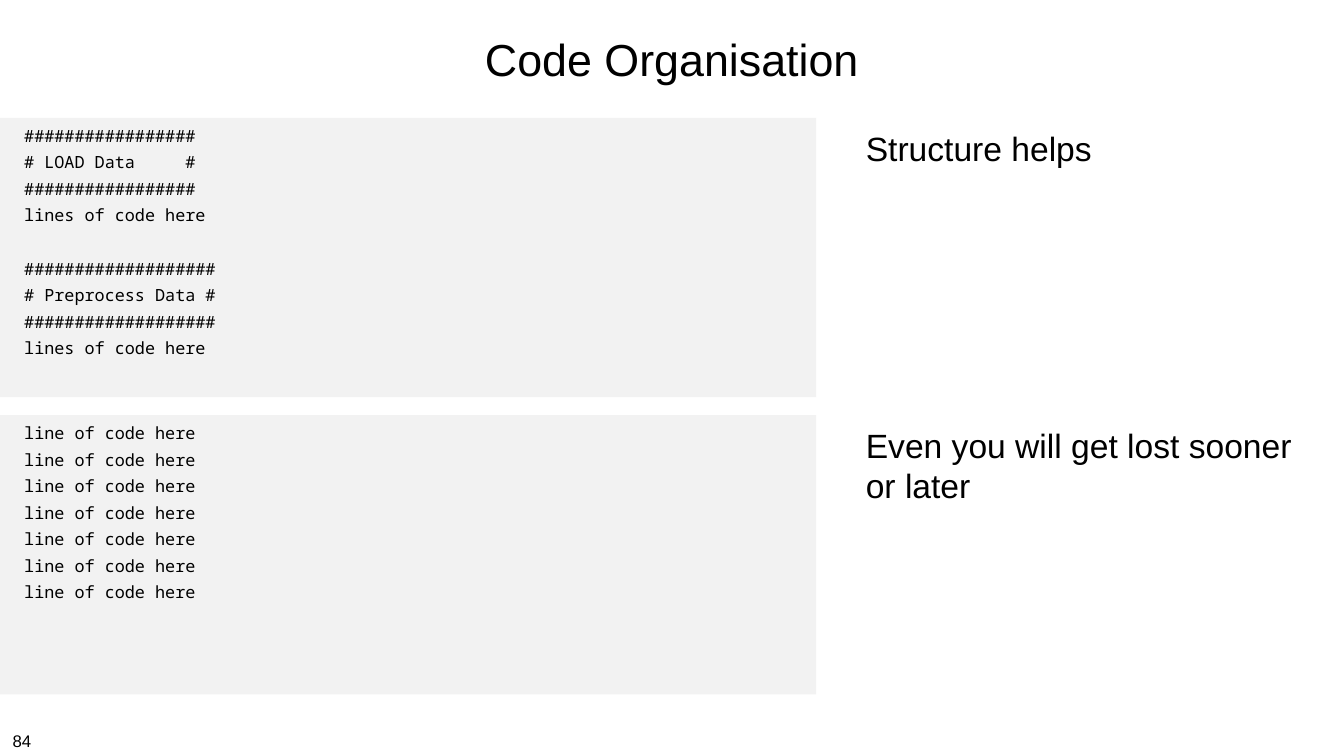
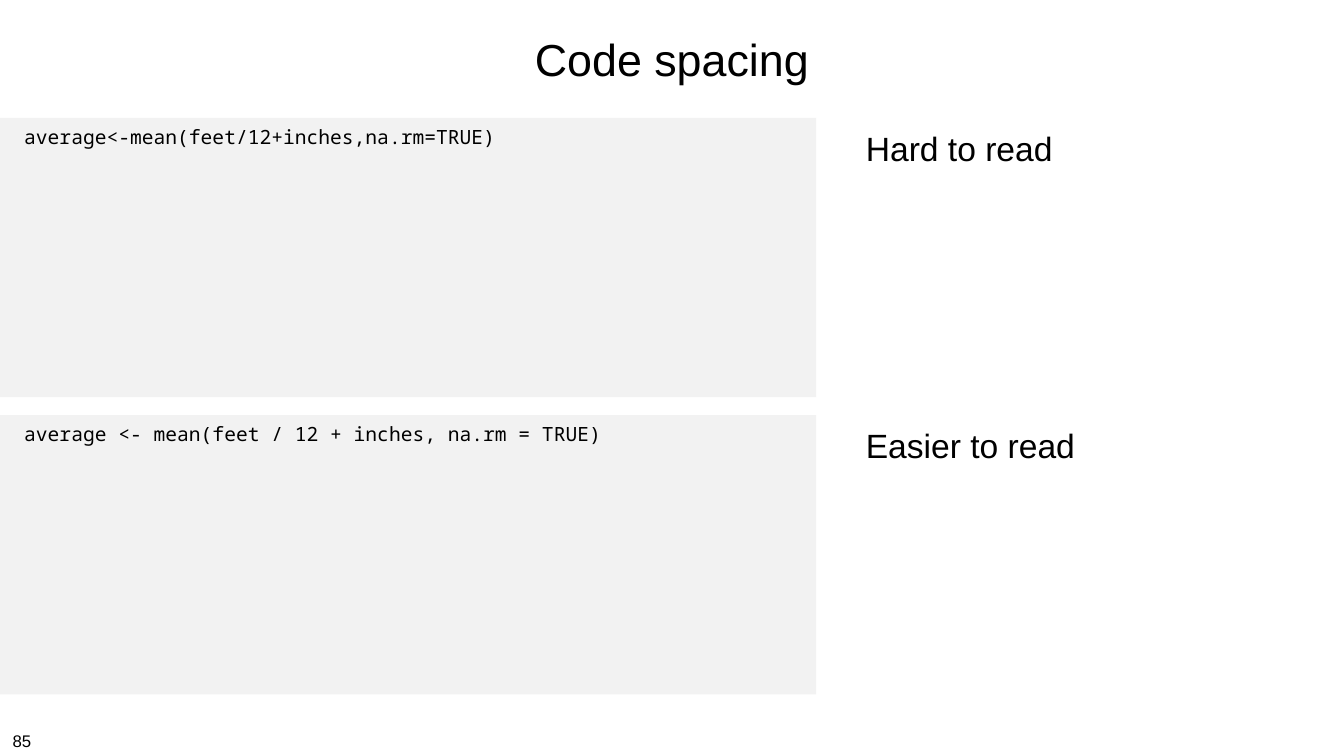
from dataclasses import dataclass
from lxml.etree import SubElement as Sub
from pptx import Presentation as Deck
from pptx.dml.color import RGBColor as Rgb
from pptx.enum.text import MSO_ANCHOR as Anchor, MSO_AUTO_SIZE as Fit, PP_ALIGN as Align
from pptx.oxml.ns import qn
from pptx.util import Cm, Pt


@dataclass(frozen=True)
class Theme:
    """Colours, fonts and type sizes of the deck."""
    ink: Rgb = Rgb(0, 0, 0)
    panel: Rgb = Rgb(0xF2, 0xF2, 0xF2)
    sans: str = "Arial"
    mono: str = "Noto Sans Mono"
    head: int = 32
    note: int = 24
    foot: int = 12


LOOK = Theme()
WIDE, HIGH = Cm(33.87), Cm(19.05)
TOP, ROW, GAP = Cm(2.97), Cm(7.04), Cm(0.45)
FIRST = 84

BANNER = "#" * 17
LONG = "#" * 19
BODY = "lines of code here"
TIDY = [BANNER, "# LOAD Data     #", BANNER, BODY, "",
        LONG, "# Preprocess Data #", LONG, BODY]
PAGES = [
    ("Code Organisation", 12, [
        (TIDY, "Structure helps"),
        (["line of code here"] * 7, "Even you will get lost sooner or later")]),
    ("Code spacing", 14, [
        (["average<-mean(feet/12+inches,na.rm=TRUE)"], "Hard to read"),
        (["average <- mean(feet / 12 + inches, na.rm = TRUE)"], "Easier to read")]),
]


def apply(item, form):
    """Set every attribute named in a dict of format values."""
    for name, value in form.items():
        setattr(item, name, value)


def place(shape, box, anchor=Anchor.TOP):
    """Move a shape to its box and give its frame the shared insets."""
    apply(shape, dict(zip(("left", "top", "width", "height"), box)))
    inset = Cm(0.25)
    apply(shape.text_frame, dict(
        margin_left=inset, margin_right=inset, margin_top=inset, margin_bottom=inset,
        word_wrap=True, auto_size=Fit.NONE, vertical_anchor=anchor))


def style(para, face, size, align=Align.LEFT):
    """Give a paragraph its alignment and type."""
    para.alignment = align
    apply(para.font, dict(name=face, size=Pt(size), bold=False))
    para.font.color.rgb = LOOK.ink


def fill(shape, lines, face, size, gap=0, line=1.0):
    """Write indented lines without bullets."""
    frame = shape.text_frame
    for n, text in enumerate(lines):
        para = frame.add_paragraph() if n else frame.paragraphs[0]
        para.text = text
        apply(para, dict(line_spacing=line, space_before=Pt(gap if n else 0)))
        props = para._p.get_or_add_pPr()
        props.set("marL", str(Cm(0.36)))
        props.set("indent", "0")
        Sub(props, qn("a:buNone"))
        style(para, face, size)


def title(shape, text):
    """Set the centred slide title."""
    place(shape, (Cm(2.54), Cm(0.2), WIDE - 2 * Cm(2.54), Cm(2.54)), Anchor.MIDDLE)
    shape.text_frame.text = text
    style(shape.text_frame.paragraphs[0], LOOK.sans, LOOK.head, Align.CENTER)


def pair(code, note, top, size, lines, text):
    """Set a grey code panel with its remark on the right."""
    place(code, (0, top, Cm(20.57), ROW))
    code.fill.solid()
    code.fill.fore_color.rgb = LOOK.panel
    fill(code, lines, LOOK.mono, size, 6, 0.9)
    place(note, (Cm(21.21), top, Cm(12.37), ROW))
    fill(note, [text], LOOK.sans, LOOK.note)


def footer(slide, num):
    """Add the slide number field at the bottom left."""
    box = slide.shapes.add_textbox(0, HIGH - Cm(0.76), Cm(1.04), Cm(0.76))
    para = box.text_frame.paragraphs[0]
    style(para, LOOK.sans, LOOK.foot, Align.RIGHT)
    run = para.add_run()
    run.text = str(num)
    apply(run.font, dict(name=LOOK.sans, size=Pt(LOOK.foot)))
    run.font.color.rgb = LOOK.ink
    field = run._r
    field.tag = qn("a:fld")
    field.set("id", "{B6F15528-21DE-4FAA-801E-634DDDAF4B2B}")
    field.set("type", "slidenum")


def page(deck, num, text, size, rows):
    """Build one slide of stacked code and remark rows."""
    slide = deck.slides.add_slide(deck.slide_layouts.get_by_name("Comparison"))
    holds = {p.placeholder_format.idx: p for p in slide.placeholders}
    title(holds[0], text)
    for n, (lines, note) in enumerate(rows):
        top = TOP + n * (ROW + GAP)
        pair(holds[2 * n + 2], holds[2 * n + 1], top, size, lines, note)
    footer(slide, num)


def main():
    """Build and save the deck."""
    deck = Deck()
    apply(deck, dict(slide_width=WIDE, slide_height=HIGH))
    deck.element.set("firstSlideNum", str(FIRST))
    for num, (text, size, rows) in enumerate(PAGES, FIRST):
        page(deck, num, text, size, rows)
    deck.save("out.pptx")


if __name__ == "__main__":
    main()
